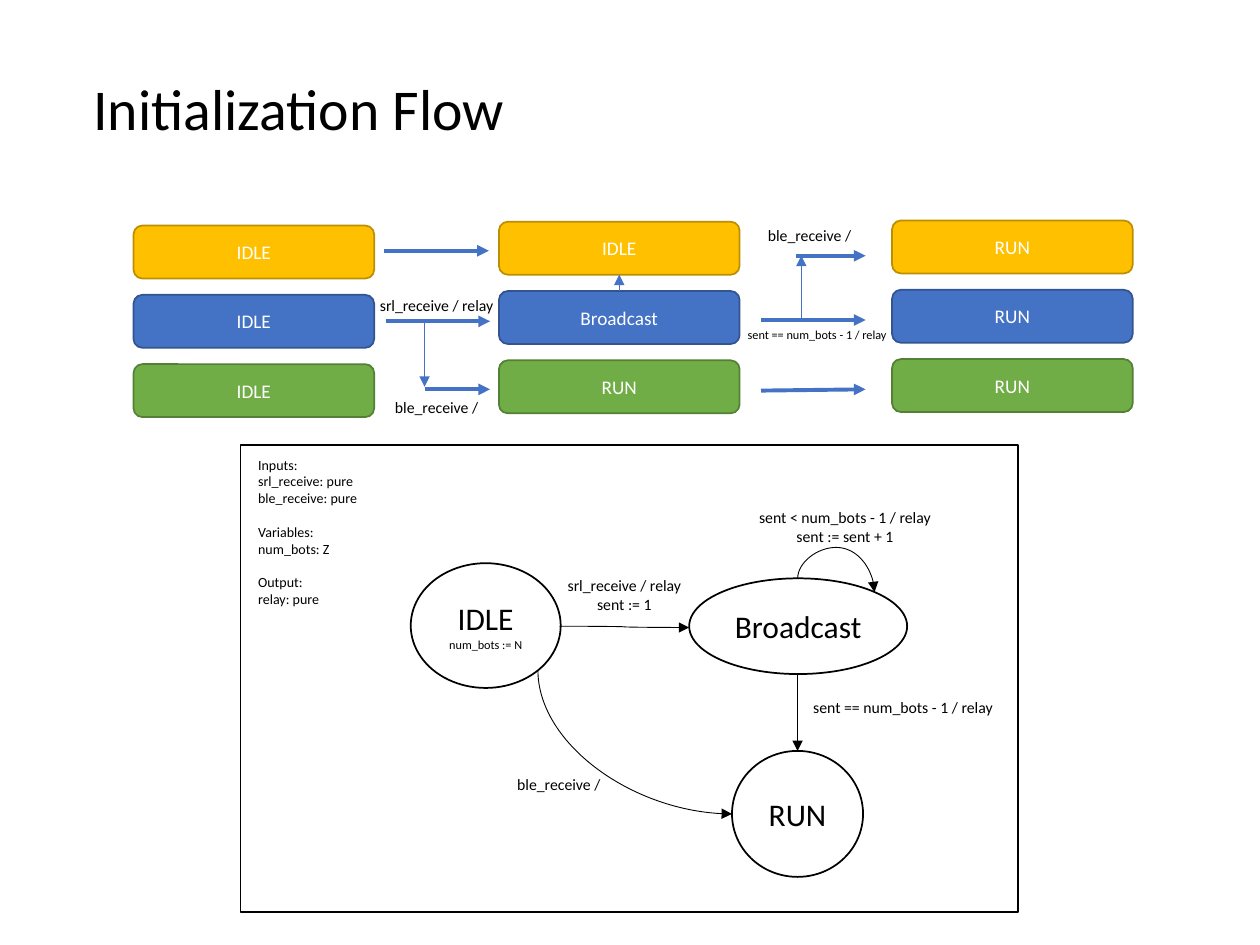
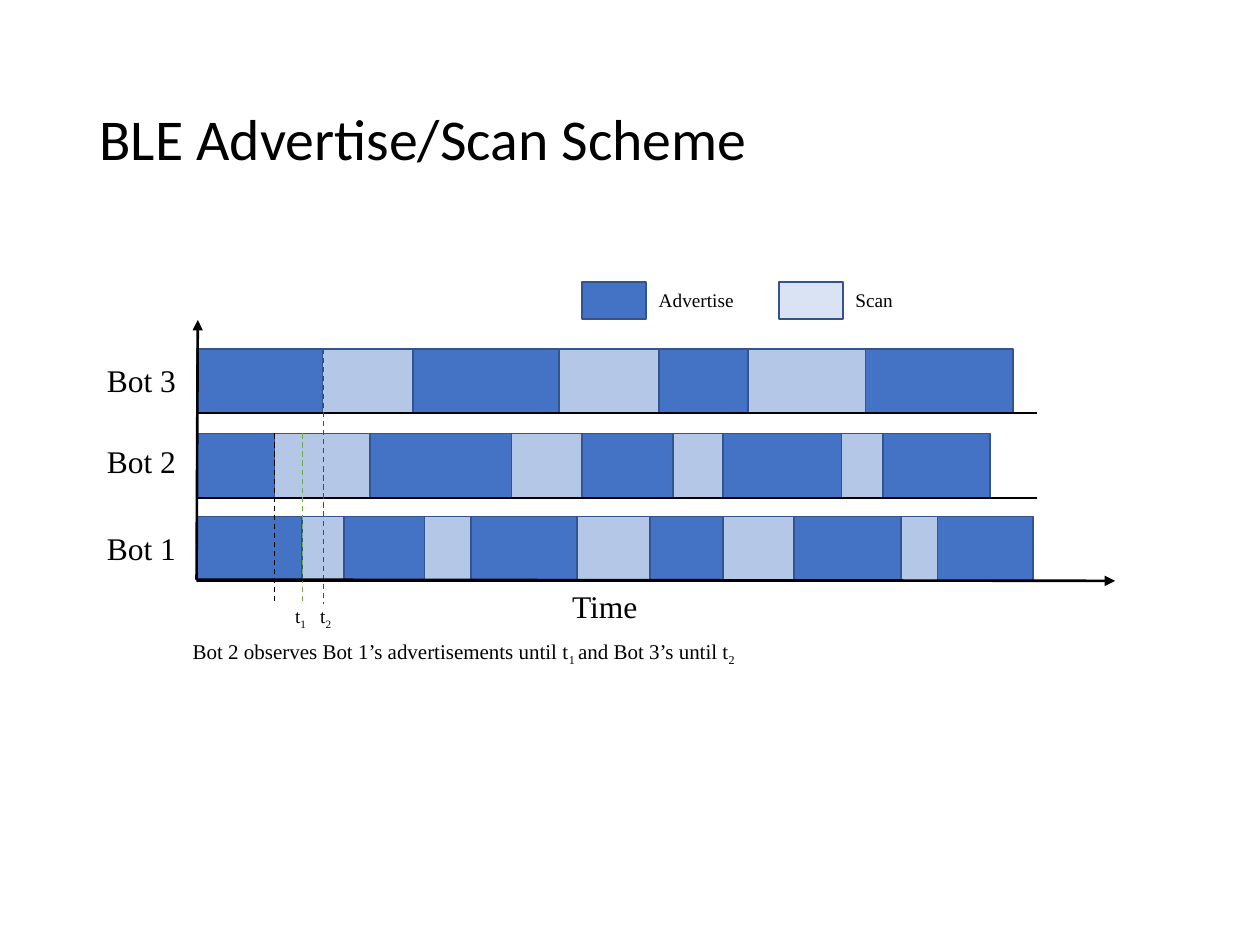
from itertools import pairwise

from lxml import etree
from pptx import Presentation
from pptx.dml.color import RGBColor
from pptx.enum.dml import MSO_LINE
from pptx.enum.shapes import MSO_CONNECTOR as LINK, MSO_SHAPE as SHAPE
from pptx.enum.text import MSO_ANCHOR as ANCHOR, MSO_AUTO_SIZE, PP_ALIGN as ALIGN
from pptx.oxml.ns import qn
from pptx.util import Inches, Pt

BLACK = RGBColor(0x00, 0x00, 0x00)
WHITE = RGBColor(0xFF, 0xFF, 0xFF)
RED = RGBColor(0xFF, 0x00, 0x00)
YELLOW = RGBColor(0xFF, 0xC0, 0x00)
DARK_YELLOW = RGBColor(0xBD, 0x8E, 0x00)
BLUE = RGBColor(0x44, 0x72, 0xC4)
DARK_BLUE = RGBColor(0x32, 0x54, 0x91)
LIGHT_BLUE = RGBColor(0xB4, 0xC7, 0xE7)
PALE_BLUE = RGBColor(0xDA, 0xE3, 0xF3)
GREEN = RGBColor(0x70, 0xAD, 0x47)
DARK_GREEN = RGBColor(0x53, 0x80, 0x35)
SANS = "Calibri"
SERIF = "Times New Roman"


def style_text(frame, size, color, font=SANS, align=ALIGN.CENTER):
    for para in frame.paragraphs:
        para.alignment = align
        for span in para.runs:
            span.font.name = font
            span.font.size = Pt(size)
            span.font.color.rgb = color


def add_page(deck, title, left, top):
    page = deck.slides.add_slide(deck.slide_layouts[5])
    heading = page.shapes.title
    heading.left, heading.top = Inches(left), Inches(top)
    heading.width, heading.height = Inches(8.62), Inches(1.45)
    frame = heading.text_frame
    frame.text = title
    frame.auto_size = MSO_AUTO_SIZE.NONE
    frame.vertical_anchor = ANCHOR.MIDDLE
    frame.paragraphs[0].line_spacing = 0.9
    style_text(frame, 33, BLACK, align=ALIGN.LEFT)
    return page


def add_block(page, kind, at, fill, edge, text="", size=11, color=WHITE):
    block = page.shapes.add_shape(kind, *map(Inches, at))
    block.shadow.inherit = False
    block.fill.solid()
    block.fill.fore_color.rgb = fill
    block.line.color.rgb = edge
    block.line.width = Pt(1)
    if text:
        block.text_frame.text = text
        block.text_frame.vertical_anchor = ANCHOR.MIDDLE
        style_text(block.text_frame, size, color)
    return block


def add_label(page, at, text, size, font=SANS, align=ALIGN.CENTER):
    box = page.shapes.add_textbox(*map(Inches, at))
    box.text_frame.word_wrap = True
    box.text_frame.text = text
    style_text(box.text_frame, size, BLACK, font, align)
    return box


def add_subscript_label(page, at, parts, size):
    """Write the parts in one line; every second part is a subscript."""
    box = add_label(page, at, "", size)
    para = box.text_frame.paragraphs[0]
    for index, part in enumerate(parts):
        span = para.add_run()
        span.text = part
        if index % 2:
            span.font._element.set("baseline", "-25000")
    style_text(box.text_frame, size, BLACK, SERIF)


def add_line(page, start, end, color, width, arrow=True, dash=None, kind=LINK.STRAIGHT):
    line = page.shapes.add_connector(kind, *map(Inches, start + end))
    line.line.color.rgb = color
    line.line.width = Pt(width)
    if dash:
        line.line.dash_style = dash
    if arrow:
        etree.SubElement(line.line._get_or_add_ln(), qn("a:tailEnd"), type="triangle")
    etree.SubElement(line._element.spPr, qn("a:effectLst"))
    return line


def glue(line, start, start_site, end, end_site):
    """Tie a connector to the numbered sites of two ellipses, keeping its place."""
    ties = line._element.nvCxnSpPr.cNvCxnSpPr
    for tag, shape, site in (("a:stCxn", start, start_site), ("a:endCxn", end, end_site)):
        etree.SubElement(ties, qn(tag), id=str(shape.shape_id), idx=str(site))


def add_turned_curve(page, at, preset, bend=None):
    """Add a curve whose frame is turned by 270 degrees and mirrored."""
    left, top, width, height = at
    curve = add_line(page, (left, top), (left + width, top + height),
                     BLACK, 0.5, kind=LINK.CURVE)
    frame = curve._element.spPr.find(qn("a:xfrm"))
    frame.set("rot", "16200000")
    frame.set("flipH", "1")
    geometry = curve._element.spPr.find(qn("a:prstGeom"))
    geometry.set("prst", preset)
    if bend is not None:
        guides = geometry.find(qn("a:avLst"))
        etree.SubElement(guides, qn("a:gd"), name="adj1", fmla=f"val {round(bend * 100000)}")
    return curve


def draw_bot_states(page):
    bot_colors = ((YELLOW, DARK_YELLOW), (BLUE, DARK_BLUE), (GREEN, DARK_GREEN))
    columns = ((1.06, 1.79, ("IDLE", "IDLE", "IDLE")),
               (3.96, 1.76, ("IDLE", "Broadcast", "RUN")),
               (7.08, 1.75, ("RUN", "RUN", "RUN")))
    states = {}
    for column, (left, top, names) in enumerate(columns):
        for row, (name, colors) in enumerate(zip(names, bot_colors)):
            at = (left, top + row * 0.55, 1.91, 0.42)
            states[column, row] = add_block(page, SHAPE.ROUNDED_RECTANGLE, at, *colors, name)

    for start, end in (((3.05, 1.99), (3.88, 1.99)),
                       ((3.06, 2.55), (3.89, 2.55)),
                       ((3.37, 3.09), (3.89, 3.09)),
                       ((6.32, 2.03), (6.87, 2.03)),
                       ((6.04, 2.54), (6.87, 2.54)),
                       ((6.04, 3.1), (6.87, 3.09))):
        add_line(page, start, end, BLUE, 2.25)
    add_line(page, (3.37, 2.56), (3.37, 3.07), BLUE, 0.5)
    add_line(page, (6.36, 2.55), (6.36, 2.03), BLUE, 0.5)
    relay = add_line(page, (4.92, 2.31), (4.92, 2.18), BLUE, 0.5)
    relay.begin_connect(states[1, 1], 0)
    relay.end_connect(states[1, 0], 2)

    add_label(page, (2.9, 2.3, 1.13, 0.25), "srl_receive / relay", 9)
    add_label(page, (2.9, 3.11, 1.13, 0.25), "ble_receive /", 9)
    add_label(page, (5.86, 1.74, 1.13, 0.25), "ble_receive /", 9)
    add_label(page, (5.58, 2.55, 1.81, 0.22), "sent == num_bots - 1 / relay", 7)


def draw_state_machine(page):
    add_block(page, SHAPE.RECTANGLE, (1.91, 3.53, 6.17, 3.71), WHITE, BLACK)
    interface = add_label(
        page, (1.95, 3.57, 1.09, 1.31),
        "Inputs:\nsrl_receive: pure\nble_receive: pure\n"
        "Variables:\nnum_bots: Z\nOutput:\nrelay: pure", 8, align=ALIGN.LEFT)
    for para in interface.text_frame.paragraphs:
        if para.text in ("Variables:", "Output:"):
            para.space_before = Pt(9.75)

    def add_state(at, text):
        return add_block(page, SHAPE.OVAL, at, WHITE, BLACK, text, 18, BLACK)

    idle = add_state((3.26, 4.47, 1.19, 0.99), "IDLE\nnum_bots := N")
    idle.text_frame.paragraphs[1].runs[0].font.size = Pt(7)
    broadcast = add_state((5.47, 4.59, 1.73, 0.76), "Broadcast")
    run = add_state((5.81, 5.96, 1.04, 1), "RUN")

    # Ellipse sites run anticlockwise from 0 at the top, in eighths.
    to_broadcast = add_line(page, (4.44, 4.97), (5.47, 4.98), BLACK, 0.5, kind=LINK.CURVE)
    glue(to_broadcast, idle, 6, broadcast, 2)
    again = add_turned_curve(page, (6.58, 4.34, 0.11, 0.61), "curvedConnector3", -2.24)
    glue(again, broadcast, 0, broadcast, 7)
    to_run = add_turned_curve(page, (4.47, 5.12, 1.14, 1.54), "curvedConnector2")
    glue(to_run, idle, 5, run, 2)
    finish = add_line(page, (6.33, 5.35), (6.33, 5.96), BLACK, 0.5)
    glue(finish, broadcast, 4, run, 0)

    add_label(page, (4.34, 4.52, 1.23, 0.4), "srl_receive / relay\nsent := 1", 9)
    add_label(page, (5.88, 3.98, 1.65, 0.4),
              "sent < num_bots - 1 / relay\nsent := sent + 1", 9)
    add_label(page, (3.82, 6.1, 1.23, 0.25), "ble_receive /", 9)
    add_label(page, (6.34, 5.49, 1.65, 0.25), "sent == num_bots - 1 / relay", 9)


def draw_legend(page):
    for left, fill, name in ((4.62, BLUE, "Advertise"), (6.18, PALE_BLUE, "Scan")):
        add_block(page, SHAPE.RECTANGLE, (left, 2.24, 0.51, 0.29), fill, DARK_BLUE)
        add_label(page, (left + 0.51, 2.24, 0.83, 0.29), name, 11, SERIF, ALIGN.LEFT)


def draw_timelines(page):
    timelines = (
        ("Bot 3", 2.77, 2.82, (1.56, 2.56, 3.28, 4.44, 5.23, 5.94, 6.87, 8.04)),
        ("Bot 2", 3.44, 3.46, (1.56, 2.18, 2.94, 4.06, 4.62, 5.34, 5.74, 6.68, 7.01, 7.86)),
        ("Bot 1", 4.1, 4.15, (1.56, 2.4, 2.73, 3.37, 3.74, 4.58, 5.16, 5.74, 6.3, 7.15,
                              7.44, 8.2)))
    for name, top, label_top, switches in timelines:
        for index, (start, end) in enumerate(pairwise(switches)):
            fill = LIGHT_BLUE if index % 2 else BLUE
            add_block(page, SHAPE.RECTANGLE, (start, top, end - start, 0.51), fill, DARK_BLUE)
        add_line(page, (1.56, top + 0.51), (8.23, top + 0.51), BLACK, 1, arrow=False)
        add_label(page, (0.75, label_top, 0.8, 0.4), name, 18, SERIF, ALIGN.LEFT)

    for x, top, color in ((2.18, 3.44, BLACK), (2.57, 2.77, RED), (2.4, 3.44, GREEN)):
        add_line(page, (x, top), (x, 4.79), color, 0.75, arrow=False, dash=MSO_LINE.DASH)
    add_line(page, (1.56, 4.6), (1.57, 2.54), BLACK, 1.5)
    add_line(page, (1.56, 4.6), (8.85, 4.61), BLACK, 1.5)
    add_label(page, (4, 4.61, 1.6, 0.4), "Time", 18, SERIF)


def main():
    deck = Presentation()
    deck.slide_width, deck.slide_height = Inches(10), Inches(7.5)

    flow = add_page(deck, "Initialization Flow", 0.64, 0.16)
    draw_state_machine(flow)
    draw_bot_states(flow)

    scheme = add_page(deck, "BLE Advertise/Scan Scheme", 0.69, 0.4)
    draw_legend(scheme)
    draw_timelines(scheme)
    add_subscript_label(scheme, (2.17, 4.75, 0.43, 0.29), ("t", "1"), 11)
    add_subscript_label(scheme, (2.37, 4.75, 0.43, 0.29), ("t", "2"), 11)
    add_subscript_label(scheme, (1.27, 5.02, 4.82, 0.3),
                        ("Bot 2 observes Bot 1’s advertisements until t", "1 ",
                         "and Bot 3’s until t", "2"), 12)
    deck.save("out.pptx")


if __name__ == "__main__":
    main()
